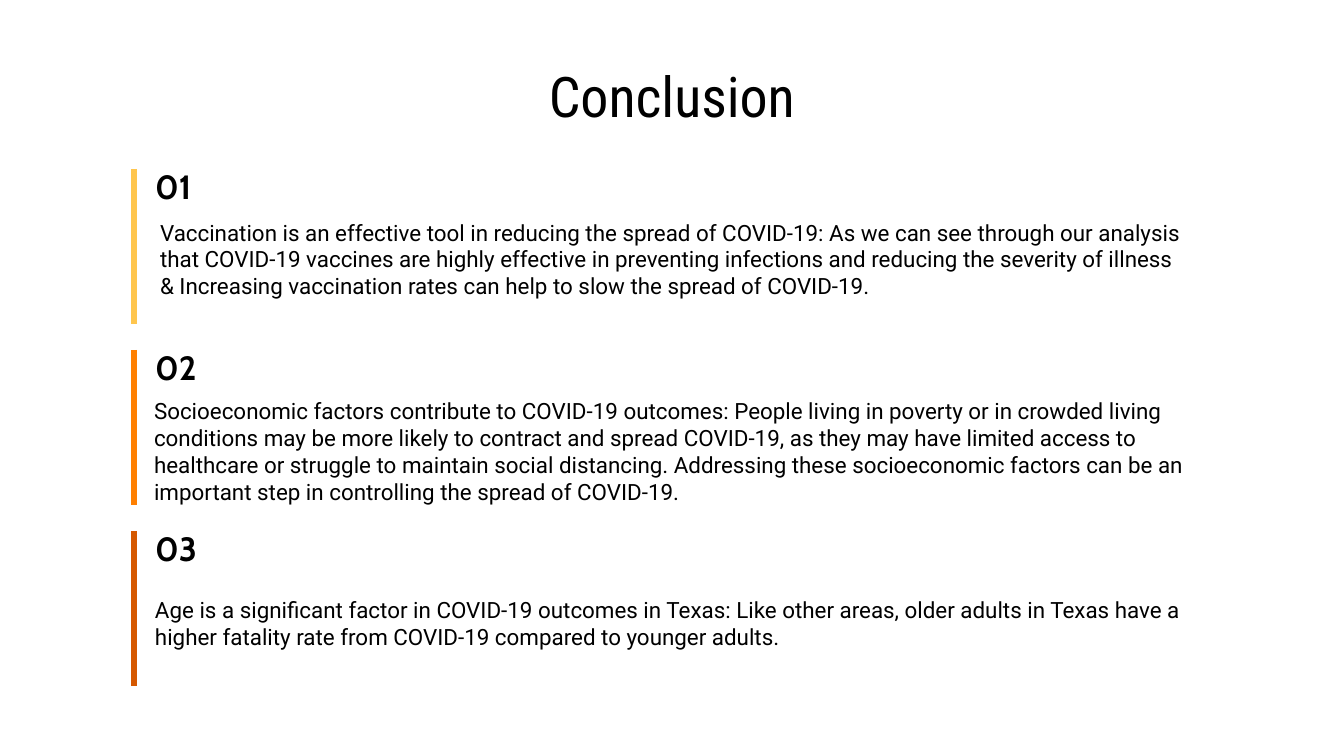
from lxml import etree
from pptx import Presentation
from pptx.dml.color import RGBColor
from pptx.enum.shapes import MSO_CONNECTOR
from pptx.enum.text import MSO_ANCHOR, MSO_AUTO_SIZE, PP_ALIGN
from pptx.oxml.ns import qn
from pptx.util import Pt

STRAIGHT = MSO_CONNECTOR.STRAIGHT
MIDDLE = MSO_ANCHOR.MIDDLE
NO_FIT = MSO_AUTO_SIZE.NONE
LEFT, CENTER = PP_ALIGN.LEFT, PP_ALIGN.CENTER

BLACK = RGBColor(0x00, 0x00, 0x00)
YELLOW = RGBColor(0xFF, 0xC6, 0x4E)
ORANGE = RGBColor(0xFF, 0x80, 0x01)
RUST = RGBColor(0xD5, 0x58, 0x00)

TITLE = "Conclusion"
# number, bar colour, body (left, top, height), body text
POINTS = [
    ("01", YELLOW, (147, 169, 180),
     "Vaccination is an effective tool in reducing the spread of COVID-19: "
     "As we can see through our analysis that COVID-19 vaccines are highly "
     "effective in preventing infections and reducing the severity of illness "
     "& Increasing vaccination rates can help to slow the spread of COVID-19."),
    ("02", ORANGE, (141, 373, 156),
     "Socioeconomic factors contribute to COVID-19 outcomes: People living in "
     "poverty or in crowded living conditions may be more likely to contract "
     "and spread COVID-19, as they may have limited access to healthcare or "
     "struggle to maintain social distancing. Addressing these socioeconomic "
     "factors can be an important step in controlling the spread of COVID-19."),
    ("03", RUST, (142, 567, 113),
     "Age is a significant factor in COVID-19 outcomes in Texas: Like other "
     "areas, older adults in Texas have a higher fatality rate from COVID-19 "
     "compared to younger adults."),
]

# Layout in px
SLIDE_W, SLIDE_H = 1344, 756
BAR_X, BAR_TOP, BAR_H, PITCH = 134, 169, 155, 181
NUMBER_X, NUMBER_RISE, NUMBER_W, NUMBER_H = 142, 4, 90, 42
BODY_RIGHT = 1203
INSET = 13


def px(n):
    return round(n * 914400 / 134.4)


def place(sp, x, y, w, h):
    sp.left, sp.top, sp.width, sp.height = px(x), px(y), px(w), px(h)


def write(sp, text, font, size, bold=False, align=LEFT):
    tf = sp.text_frame
    tf.word_wrap = True
    tf.auto_size = NO_FIT
    tf.vertical_anchor = MIDDLE
    tf.margin_left = tf.margin_right = px(INSET)
    tf.margin_top = tf.margin_bottom = px(INSET)
    p = tf.paragraphs[0]
    p.alignment = align
    r = p.add_run()
    r.text = text
    r.font.name, r.font.size, r.font.bold = font, Pt(size), bold
    r.font.color.rgb = BLACK


def add_text(s, x, y, w, h, *style):
    sp = s.shapes.add_textbox(px(x), px(y), px(w), px(h))
    write(sp, *style)


def add_bar(s, y, color):
    bar = s.shapes.add_connector(STRAIGHT, px(BAR_X), px(y), px(BAR_X), px(y + BAR_H))
    bar.line.color.rgb = color
    bar.line.width = Pt(3)
    etree.SubElement(bar._element.spPr, qn("a:effectLst"))


prs = Presentation()
prs.slide_width, prs.slide_height = px(SLIDE_W), px(SLIDE_H)
s = prs.slides.add_slide(prs.slide_layouts[5])

# Title
title = s.shapes.title
place(title, 67, 60, 1210, 71)
write(title, TITLE, "Roboto Condensed", 30, False, CENTER)

# Numbered points, each with a bar at its left
for i, (number, color, (x, y, h), body) in enumerate(POINTS):
    top = BAR_TOP + i * PITCH
    add_bar(s, top, color)
    add_text(s, NUMBER_X, top - NUMBER_RISE, NUMBER_W, NUMBER_H, number, "Cabin", 18, True)
    add_text(s, x, y, BODY_RIGHT - x, h, body, "Roboto", 12)

prs.save("out.pptx")
